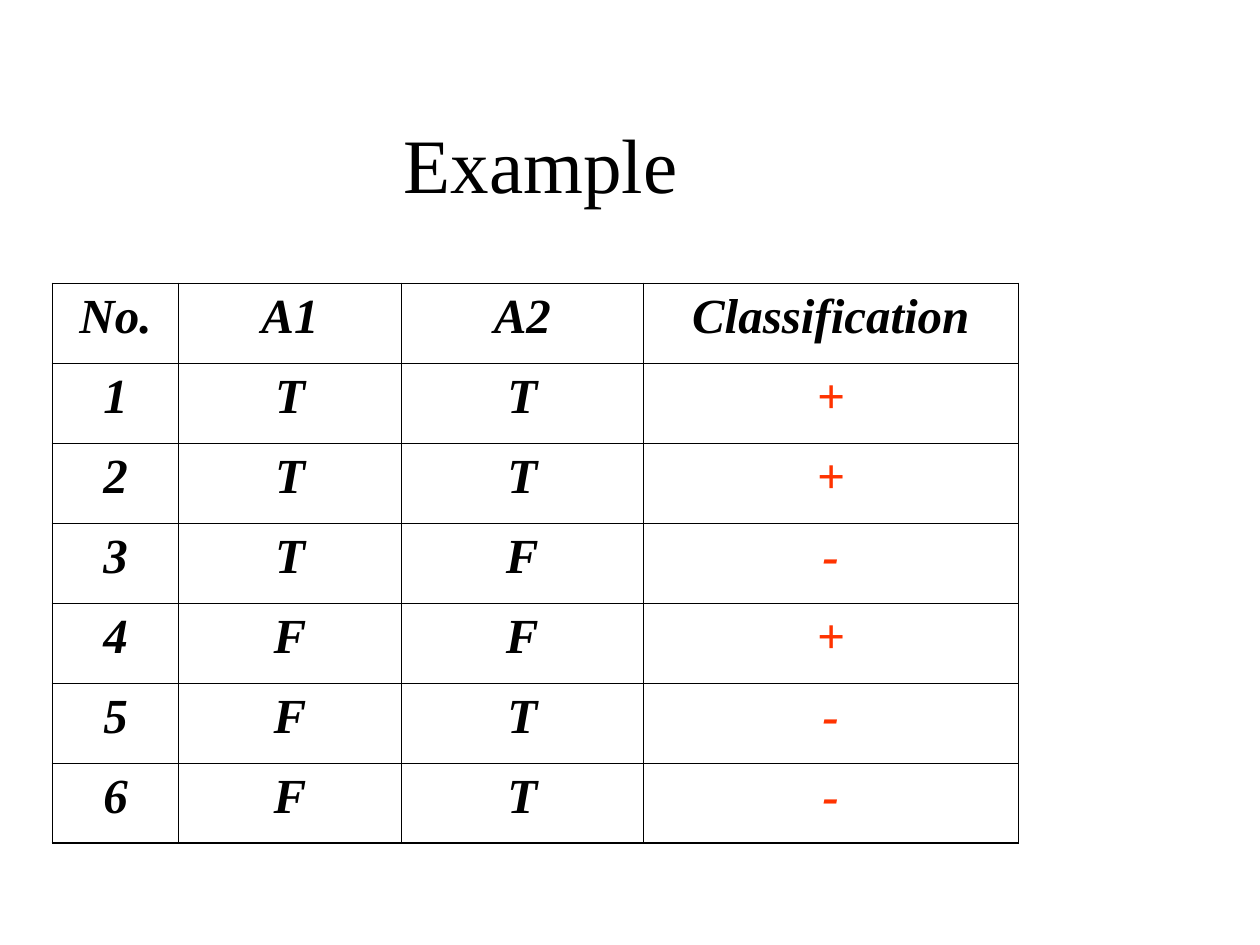
from lxml import etree
from pptx import Presentation
from pptx.dml.color import RGBColor
from pptx.enum.text import MSO_ANCHOR, PP_ALIGN
from pptx.oxml.ns import qn
from pptx.util import Pt

CENTER = PP_ALIGN.CENTER
MIDDLE = MSO_ANCHOR.MIDDLE

FONT = "Times New Roman"
BLACK, WHITE, RED = "000000", "FFFFFF", "FF3300"
OUTER_LINE, INNER_LINE = 1.08, 0.45

COLUMN_WIDTHS = [72, 127.5, 138, 214.5]
ROW_HEIGHT = 45.7
ROWS = [
    ["No.", "A1", "A2", "Classification"],
    ["1", "T", "T", "+"],
    ["2", "T", "T", "+"],
    ["3", "T", "F", "-"],
    ["4", "F", "F", "+"],
    ["5", "F", "T", "-"],
    ["6", "F", "T", "-"],
]


def color(hex_string):
    return RGBColor.from_string(hex_string)


def format_paragraph(paragraph, size, hex_string, emphasis=False):
    paragraph.alignment = CENTER
    for run in paragraph.runs:
        font = run.font
        font.name = FONT
        font.size = Pt(size)
        font.bold = font.italic = emphasis
        font.color.rgb = color(hex_string)


def add_title(slide, text):
    shape = slide.shapes.add_textbox(Pt(18), Pt(48), Pt(582), Pt(90))
    text_frame = shape.text_frame
    text_frame.word_wrap = True
    text_frame.vertical_anchor = MIDDLE
    text_frame.text = text
    format_paragraph(text_frame.paragraphs[0], 44, BLACK)


def set_borders(cell, widths):
    """Draw the cell's left, right, top and bottom lines, in that order."""
    properties = cell._tc.get_or_add_tcPr()
    for index, (side, width) in enumerate(zip("LRTB", widths)):
        line = etree.Element(qn(f"a:ln{side}"), w=str(Pt(width)))
        fill = etree.SubElement(line, qn("a:solidFill"))
        etree.SubElement(fill, qn("a:srgbClr"), val=BLACK)
        properties.insert(index, line)


def fill_cell(cell, text, is_header, is_result):
    if is_header:
        cell.fill.solid()
        cell.fill.fore_color.rgb = color(WHITE)
    else:
        cell.fill.background()
    cell.text_frame.text = text
    paragraph = cell.text_frame.paragraphs[0]
    paragraph.space_before = Pt(7)
    format_paragraph(paragraph, 28, RED if is_result else BLACK, emphasis=True)


def add_example_table(slide, left, top):
    last_row, last_column = len(ROWS) - 1, len(COLUMN_WIDTHS) - 1
    frame = slide.shapes.add_table(
        len(ROWS), len(COLUMN_WIDTHS), Pt(left), Pt(top),
        Pt(sum(COLUMN_WIDTHS)), Pt(ROW_HEIGHT * len(ROWS)))
    table = frame.table
    table.horz_banding = False
    for column, width in zip(table.columns, COLUMN_WIDTHS):
        column.width = Pt(width)

    for i, values in enumerate(ROWS):
        table.rows[i].height = Pt(ROW_HEIGHT)
        for j, text in enumerate(values):
            cell = table.cell(i, j)
            fill_cell(cell, text, i == 0, i > 0 and j == last_column)
            # Heavier lines around the outside of the table
            outside = [j == 0, j == last_column, i == 0, i == last_row]
            set_borders(cell, [OUTER_LINE if edge else INNER_LINE for edge in outside])


def main():
    presentation = Presentation()
    presentation.slide_width, presentation.slide_height = Pt(720), Pt(540)
    slide = presentation.slides.add_slide(presentation.slide_layouts[6])
    add_title(slide, "Example")
    add_example_table(slide, 30, 162)
    presentation.save("out.pptx")


if __name__ == "__main__":
    main()
